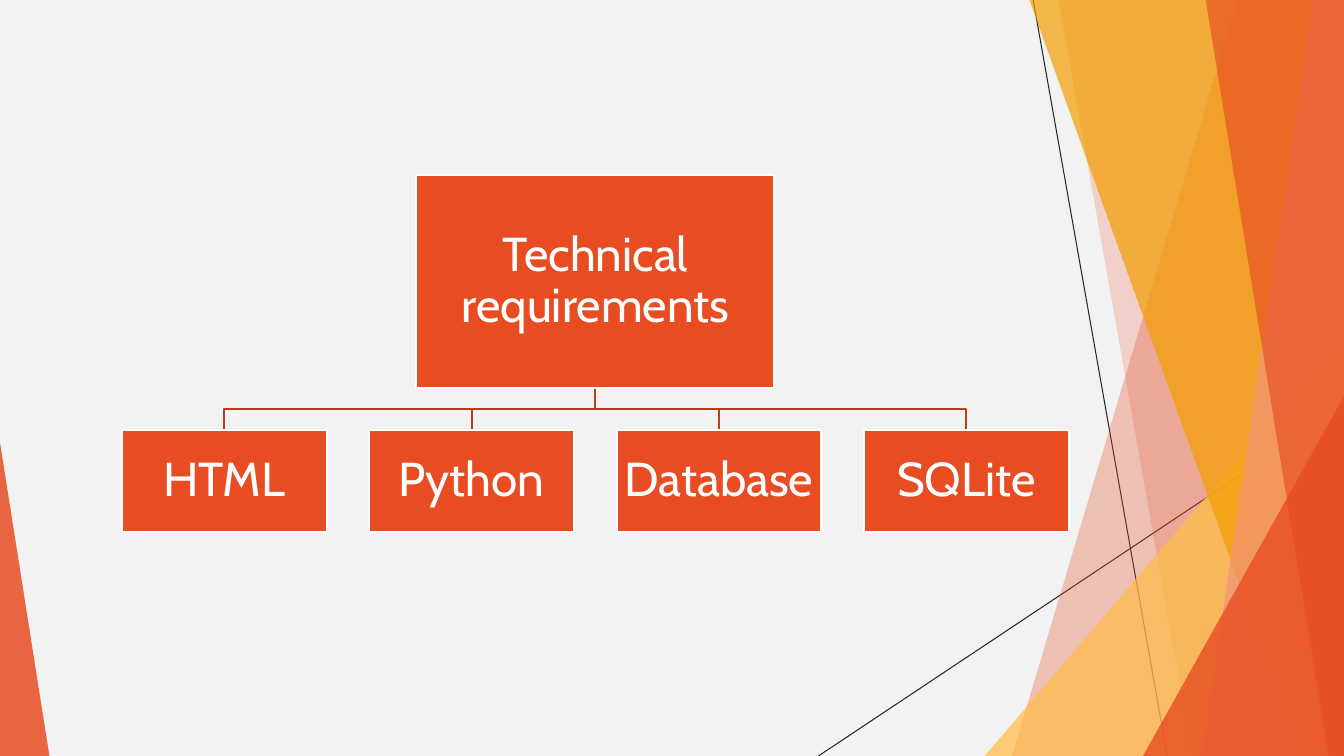
"""Build the technical requirements hierarchy slide."""
from dataclasses import dataclass

from lxml import etree
from pptx import Presentation
from pptx import util as u
from pptx.dml import color
from pptx.enum import shapes, text
from pptx.oxml import ns

COLORS = {
    "background": "F2F2F2", "ink": "262626", "orange": "E84C22",
    "gold": "FFBD47", "amber": "F49D00", "salmon": "F1947A",
    "branch": "BA3D1B", "white": "FFFFFF",
}
FONT = "Cabin"
WIDTH, HEIGHT, BLEED = 960, 540, -0.6
CHILD_LEFT, CHILD_TOP, CHILD_WIDTH, CHILD_HEIGHT, CHILD_STEP = 87.1, 307.4, 146.2, 72.7, 176.7


@dataclass
class Ray:
    x1: float
    y1: float
    x2: float
    y2: float


@dataclass
class Band:
    top_x: float
    bottom_x: float
    fill: str
    opacity: int


@dataclass
class Wedge:
    left: float
    top: float
    width: float
    apex: float
    fill: str
    opacity: int


@dataclass
class Node:
    label: str
    left: float
    top: float
    width: float
    height: float

    @property
    def center(self) -> float:
        return self.left + self.width / 2


RAYS = [Ray(738, 0, 833.8, HEIGHT), Ray(WIDTH, 290.2, 584.6, HEIGHT)]
DECOR = [
    Band(884.2, 722.9, "orange", 30),
    Band(756, 851.8, "orange", 20),
    Wedge(703.4, 239.8, 256.6, 1, "gold", 72),
    Band(735.1, 929.5, "amber", 70),
    Band(938.2, 858.2, "salmon", 70),
    Band(861.1, 949, "orange", 65),
    Wedge(816.5, 283, 143.5, 1, "orange", 80),
    Wedge(0, 316.1, 35.3, 0, "orange", 85),
]
ROOT = Node("Technical requirements", 297.4, 125.3, 255.6, 151.9)
CHILDREN = [
    Node(label, CHILD_LEFT + i * CHILD_STEP, CHILD_TOP, CHILD_WIDTH, CHILD_HEIGHT)
    for i, label in enumerate(["HTML", "Python", "Database", "SQLite"])
]


def rgb(name: str) -> color.RGBColor:
    return color.RGBColor.from_string(COLORS[name])


def set_line(line, name: str, width: float) -> None:
    line.color.rgb = rgb(name)
    line.width = u.Pt(width)


def set_glass(shape, name: str, opacity: int) -> None:
    shape.shadow.inherit = False
    shape.line.fill.background()
    shape.fill.solid()
    shape.fill.fore_color.rgb = rgb(name)
    tint = shape.element.spPr.find(f"{ns.qn('a:solidFill')}/{ns.qn('a:srgbClr')}")
    etree.SubElement(tint, ns.qn("a:alpha"), val=str(opacity * 1000))


def add_outline(page, points: list[tuple[float, float]], close: bool):
    start, *rest = [(u.Pt(x), u.Pt(y)) for x, y in points]
    builder = page.shapes.build_freeform(*start)
    builder.add_line_segments(rest, close=close)
    return builder.convert_to_shape()


def draw_ray(page, ray: Ray) -> None:
    line = page.shapes.add_connector(
        shapes.MSO_CONNECTOR.STRAIGHT, u.Pt(ray.x1), u.Pt(ray.y1), u.Pt(ray.x2), u.Pt(ray.y2))
    set_line(line.line, "ink", 0.75)
    etree.SubElement(line.element.spPr, ns.qn("a:effectLst"))


def draw_band(page, band: Band) -> None:
    corners = [(band.top_x, BLEED), (WIDTH, BLEED), (WIDTH, HEIGHT), (band.bottom_x, HEIGHT)]
    set_glass(add_outline(page, corners, True), band.fill, band.opacity)


def draw_wedge(page, wedge: Wedge) -> None:
    shape = page.shapes.add_shape(
        shapes.MSO_SHAPE.ISOSCELES_TRIANGLE, u.Pt(wedge.left), u.Pt(wedge.top),
        u.Pt(wedge.width), u.Pt(HEIGHT - wedge.top))
    shape.adjustments[0] = wedge.apex
    set_glass(shape, wedge.fill, wedge.opacity)


def draw_branch(page, parent: Node, child: Node) -> None:
    bottom = parent.top + parent.height
    middle = (bottom + child.top) / 2
    points = [(parent.center, bottom), (parent.center, middle),
              (child.center, middle), (child.center, child.top)]
    branch = add_outline(page, points, False)
    branch.shadow.inherit = False
    branch.fill.background()
    set_line(branch.line, "branch", 1.5)


def draw_node(page, node: Node) -> None:
    box = page.shapes.add_shape(
        shapes.MSO_SHAPE.RECTANGLE, u.Pt(node.left), u.Pt(node.top),
        u.Pt(node.width), u.Pt(node.height))
    box.shadow.inherit = False
    box.fill.solid()
    box.fill.fore_color.rgb = rgb("orange")
    set_line(box.line, "white", 1.5)
    frame = box.text_frame
    frame.word_wrap = True
    frame.vertical_anchor = text.MSO_ANCHOR.MIDDLE
    frame.margin_left = frame.margin_right = frame.margin_top = frame.margin_bottom = u.Pt(1.5)
    para = frame.paragraphs[0]
    para.alignment = text.PP_ALIGN.CENTER
    para.line_spacing = 0.9
    span = para.add_run()
    span.text = node.label
    span.font.name = FONT
    span.font.size = u.Pt(34)
    span.font.color.rgb = rgb("white")


def main() -> None:
    deck = Presentation()
    deck.slide_width, deck.slide_height = u.Pt(WIDTH), u.Pt(HEIGHT)
    page = deck.slides.add_slide(deck.slide_layouts[6])
    page.background.fill.solid()
    page.background.fill.fore_color.rgb = rgb("background")
    for ray in RAYS:
        draw_ray(page, ray)
    for item in DECOR:
        if isinstance(item, Band):
            draw_band(page, item)
        else:
            draw_wedge(page, item)
    for child in reversed(CHILDREN):
        draw_branch(page, ROOT, child)
    for node in [ROOT, *CHILDREN]:
        draw_node(page, node)
    deck.save("out.pptx")


if __name__ == "__main__":
    main()
